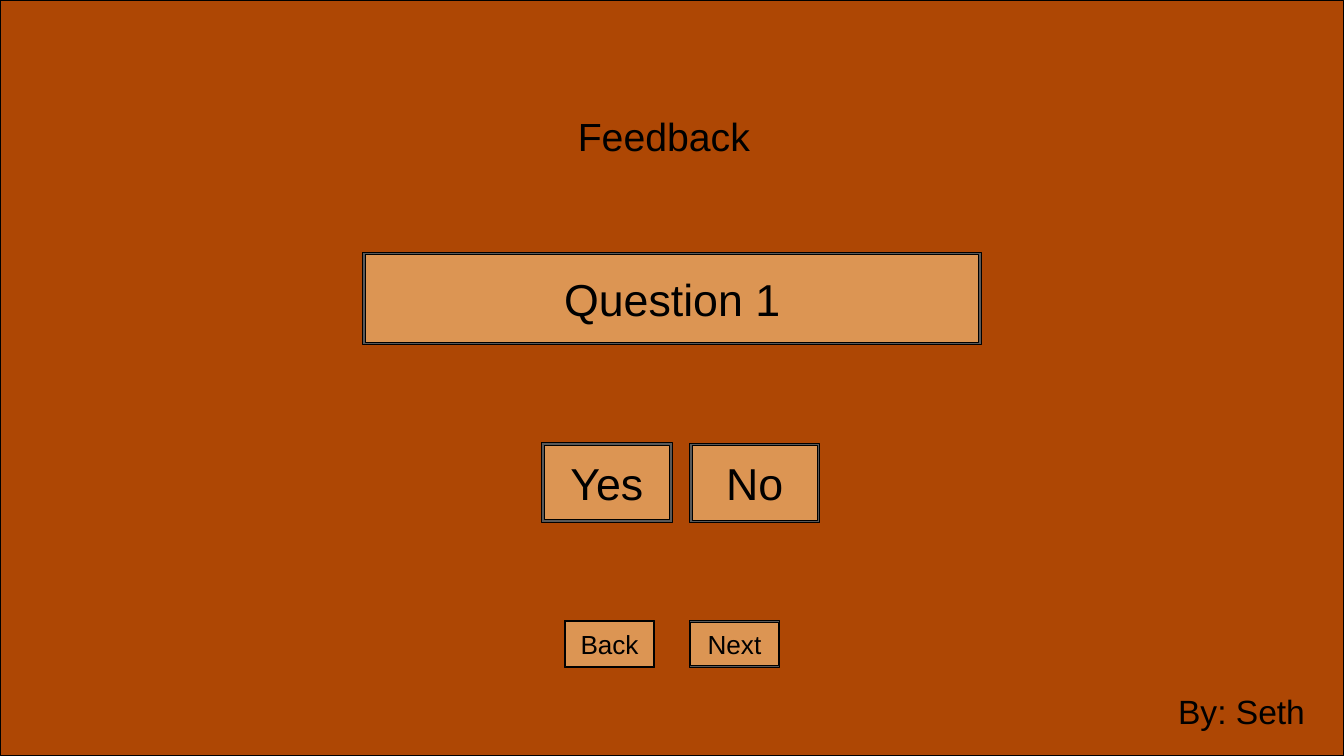
from dataclasses import dataclass

from pptx import Presentation
from pptx.dml.color import RGBColor as RGB
from pptx.enum.shapes import MSO_SHAPE as Shape
from pptx.enum.text import MSO_ANCHOR as Anchor, MSO_AUTO_SIZE as AutoSize, PP_ALIGN as Align
from pptx.util import Cm, Pt


@dataclass(frozen=True)
class Theme:
    font: str = "Arial"
    ink: RGB = RGB(0x00, 0x00, 0x00)
    rust: RGB = RGB(0xAE, 0x47, 0x04)
    tan: RGB = RGB(0xDC, 0x95, 0x53)
    rim: RGB = RGB(0x59, 0x59, 0x59)
    answer: float = 47.9
    title: float = 42
    byline: float = 36
    nav: float = 28


theme = Theme()
W, H = 50.8, 28.58


def write(tf, text, size, align):
    p = tf.paragraphs[0]
    p.alignment = align
    p.line_spacing = Pt(round(size * 1.2, 1))
    r = p.add_run()
    r.text = text
    r.font.name = theme.font
    r.font.size = Pt(size)
    r.font.color.rgb = theme.ink


def add_box(kind, left, top, width, height, fill):
    sp = s.shapes.add_shape(kind, Cm(left), Cm(top), Cm(width), Cm(height))
    sp.shadow.inherit = False
    sp.fill.solid()
    sp.fill.fore_color.rgb = fill
    sp.line.color.rgb = theme.ink
    sp.line.width = Pt(1)
    return sp


prs = Presentation()
prs.slide_width, prs.slide_height = Cm(W), Cm(H)
s = prs.slides.add_slide(prs.slide_layouts[6])

# Backdrop
add_box(Shape.RECTANGLE, 0, 0, W, H, theme.rust)

# Question, answers and navigation: a filled panel inside a thin rim
panels = [
    ("Question 1", 13.72, 9.53, 23.37, 3.51, 0.1, theme.answer),
    ("Yes", 20.47, 16.74, 4.93, 3, 0.1, theme.answer),
    ("No", 26.06, 16.76, 4.93, 3, 0.1, theme.answer),
    ("Back", 21.34, 23.44, 3.4, 1.8, 0.05, theme.nav),
    ("Next", 26.06, 23.47, 3.4, 1.75, 0.05, theme.nav),
]
for text, left, top, width, height, rim, size in panels:
    panel = add_box(Shape.RECTANGLE, left + rim / 2, top + rim / 2,
                    width - rim, height - rim, theme.tan)
    tf = panel.text_frame
    tf.word_wrap = True
    tf.vertical_anchor = Anchor.MIDDLE
    tf.margin_left = tf.margin_right = tf.margin_top = tf.margin_bottom = Cm(0.15)
    write(tf, text, size, Align.CENTER)
    frame = add_box(Shape.FRAME, left, top, width, height, theme.rim)
    frame.adjustments[0] = rim / min(width, height)

# Title and byline
labels = [
    ("Feedback", 21.84, 4.24, 7.09, 2.46, theme.title),
    ("By: Seth", 44.53, 26.11, 5.33, 1.8, theme.byline),
]
for text, left, top, width, height, size in labels:
    tf = s.shapes.add_textbox(Cm(left), Cm(top), Cm(width), Cm(height)).text_frame
    tf.word_wrap = True
    tf.auto_size = AutoSize.SHAPE_TO_FIT_TEXT
    tf.margin_left = tf.margin_right = tf.margin_top = tf.margin_bottom = 0
    write(tf, text, size, Align.LEFT)

prs.save("out.pptx")
